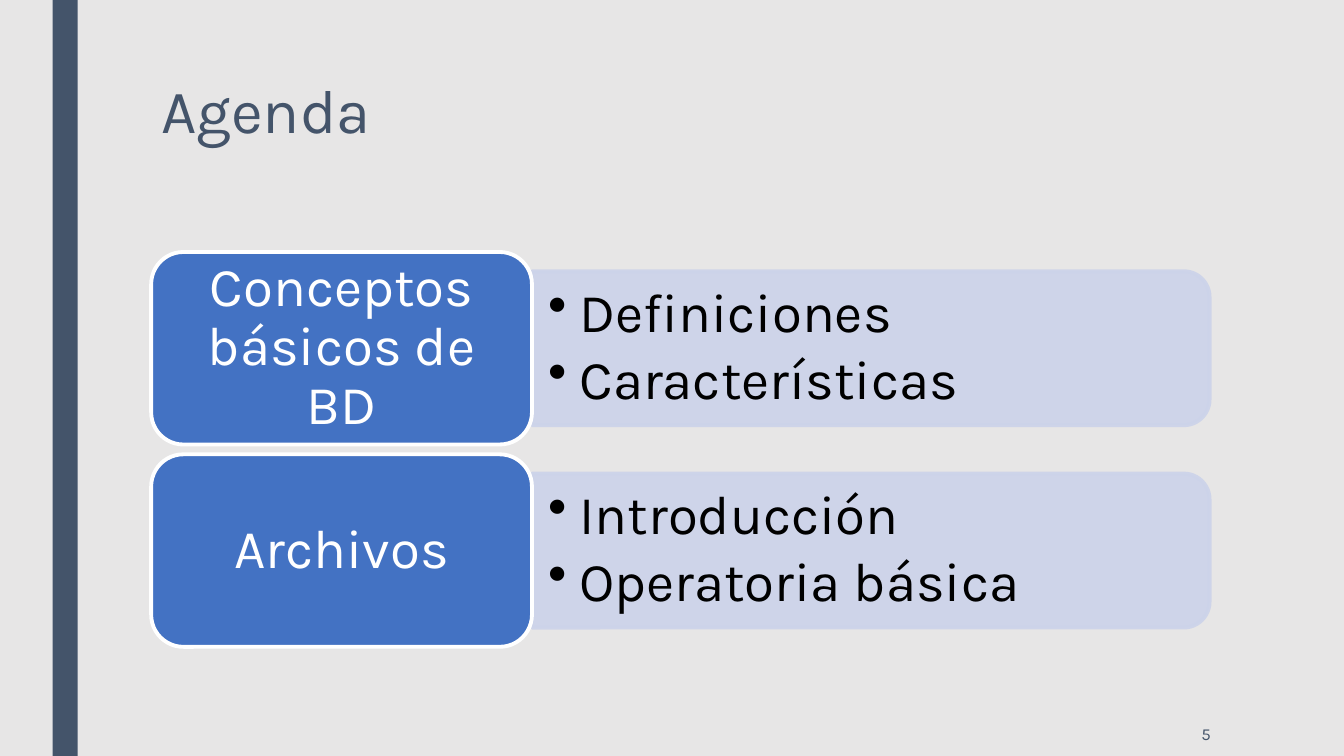
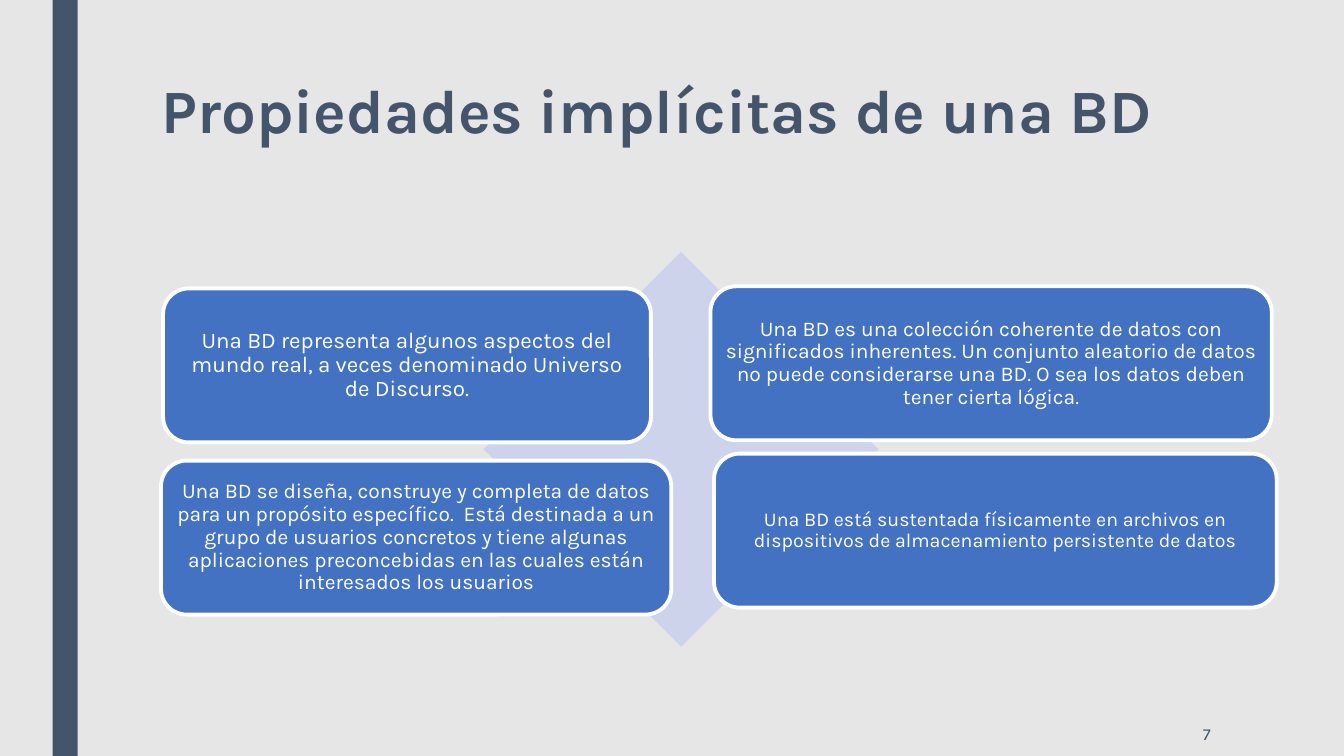
from dataclasses import dataclass

from lxml import etree
from pptx import Presentation
from pptx.dml.color import RGBColor
from pptx.enum import shapes, text
from pptx.oxml import ns
from pptx.util import Pt


@dataclass(frozen=True)
class Theme:
    font: str = "Karla"
    background: RGBColor = RGBColor(0xE7, 0xE6, 0xE6)
    slate: RGBColor = RGBColor(0x44, 0x54, 0x6A)
    blue: RGBColor = RGBColor(0x43, 0x72, 0xC3)
    pale: RGBColor = RGBColor(0xCC, 0xD3, 0xEA)
    white: RGBColor = RGBColor(0xFF, 0xFF, 0xFF)
    black: RGBColor = RGBColor(0, 0, 0)
    title_size: float = 44
    agenda_size: float = 39
    number_size: float = 12
    outline: float = 2.75
    corner: float = 0.167


theme = Theme()
preset = shapes.MSO_SHAPE
align = text.PP_ALIGN


def write(frame, lines, size, color, alignment, spacing=0.9, inset=None, bold=False):
    frame.word_wrap = True
    if inset is not None:
        frame.vertical_anchor = text.MSO_ANCHOR.MIDDLE
        frame.margin_left = frame.margin_right = Pt(inset[0])
        frame.margin_top = frame.margin_bottom = Pt(inset[1])
    for index, line in enumerate(lines):
        paragraph = frame.paragraphs[0] if index == 0 else frame.add_paragraph()
        paragraph.alignment = alignment
        paragraph.line_spacing = spacing
        run = paragraph.add_run()
        run.text = line
        run.font.name = theme.font
        run.font.size = Pt(size)
        run.font.bold = bold
        run.font.color.rgb = color


def add_block(slide, kind, left, top, width, height, fill, outline=None):
    block = slide.shapes.add_shape(kind, Pt(left), Pt(top), Pt(width), Pt(height))
    block.shadow.inherit = False
    block.fill.solid()
    block.fill.fore_color.rgb = fill
    if outline is None:
        block.line.fill.background()
    else:
        block.line.color.rgb = outline
        block.line.width = Pt(theme.outline)
    return block


deck = Presentation()
deck.slide_width, deck.slide_height = Pt(960), Pt(540)

backdrop = deck.slide_master.background.fill
backdrop.solid()
backdrop.fore_color.rgb = theme.background

layout = deck.slide_layouts.get_by_name("Title Only")
heading = layout.placeholders[0]
heading.left, heading.top, heading.width, heading.height = Pt(108), Pt(54), Pt(756), Pt(116.5)
heading.text_frame.vertical_anchor = text.MSO_ANCHOR.TOP
heading.text_frame.auto_size = text.MSO_AUTO_SIZE.NONE

pages = []
for title, number, bold in [
    ("Agenda", "5", False),
    ("Propiedades implícitas de una BD", "7", True),
]:
    page = deck.slides.add_slide(layout)
    write(page.shapes.title.text_frame, [title], theme.title_size, theme.slate,
          align.LEFT, spacing=0.89, bold=bold)
    page_number = page.shapes.add_textbox(Pt(746), Pt(508.5), Pt(126), Pt(31.5))
    write(page_number.text_frame, [number], theme.number_size, theme.slate,
          align.RIGHT, spacing=1, inset=(7.2, 3.6))
    pages.append(page)

agenda, properties = pages

band = add_block(agenda, preset.RECTANGLE, 37.5, 0, 18, 540, theme.slate)
layout.shapes.element.insert(2, band.element)

topics = [
    ("Conceptos básicos de BD", ["Definiciones", "Características"]),
    ("Archivos", ["Introducción", "Operatoria básica"]),
]
label_left, label_width, label_height = 108, 272, 137.5
panel_width, panel_height = 484, 110
label_pitch = 144.5
panel_left = label_left + label_width
for row, (topic, points) in enumerate(topics):
    label_top = 180 + row * label_pitch
    middle = label_top + label_height / 2

    panel = add_block(agenda, preset.ROUND_2_SAME_RECTANGLE,
                      panel_left + (panel_width - panel_height) / 2,
                      middle - panel_width / 2,
                      panel_height, panel_width, theme.pale, theme.pale)
    panel.rotation = 90
    panel.adjustments[0], panel.adjustments[1] = theme.corner, 0
    for color in panel.element.spPr.iter(ns.qn("a:srgbClr")):
        etree.SubElement(color, ns.qn("a:alpha"), val="90000")

    details = agenda.shapes.add_textbox(Pt(panel_left), Pt(middle - 50), Pt(479), Pt(100))
    write(details.text_frame, points, theme.agenda_size, theme.black,
          align.LEFT, inset=(11.5, 5.8))
    for index, paragraph in enumerate(details.text_frame.paragraphs):
        paragraph.space_before = Pt(5.8 if index else 0)
        properties_xml = paragraph.runs[0].font and paragraph._p.get_or_add_pPr()
        properties_xml.set("marL", str(Pt(22.5)))
        properties_xml.set("indent", str(-Pt(22.5)))
        etree.SubElement(properties_xml, ns.qn("a:buChar"), char="•")

    label = add_block(agenda, preset.ROUNDED_RECTANGLE, label_left, label_top,
                      label_width, label_height, theme.blue, theme.white)
    label.adjustments[0] = theme.corner
    write(label.text_frame, [topic], theme.agenda_size, theme.white,
          align.CENTER, inset=(11.5, 5.8))

add_block(properties, preset.DIAMOND, 345.5, 180, 282, 282, theme.pale)

cards = [
    (116.5, 206, 348.5, 16,
     "Una BD representa algunos aspectos del mundo real, a veces denominado "
     "Universo de Discurso."),
    (507.5, 204.5, 401, 15,
     "Una BD es una colección coherente de datos con significados inherentes. "
     "Un conjunto aleatorio de datos no puede considerarse una BD. "
     "O sea los datos deben tener cierta lógica."),
    (115, 329, 364.5, 15,
     "Una BD se diseña, construye y completa de datos para un propósito específico.  "
     "Está destinada a un grupo de usuarios concretos y tiene algunas aplicaciones "
     "preconcebidas en las cuales están interesados los usuarios"),
    (510, 324, 402, 14,
     "Una BD está sustentada físicamente en archivos en dispositivos de "
     "almacenamiento persistente de datos"),
]
for left, top, width, size, statement in cards:
    card = add_block(properties, preset.ROUNDED_RECTANGLE, left, top, width, 110,
                     theme.blue, theme.white)
    card.adjustments[0] = theme.corner
    write(card.text_frame, [statement], size, theme.white, align.CENTER, inset=(4.5, 4.5))

deck.save("out.pptx")
